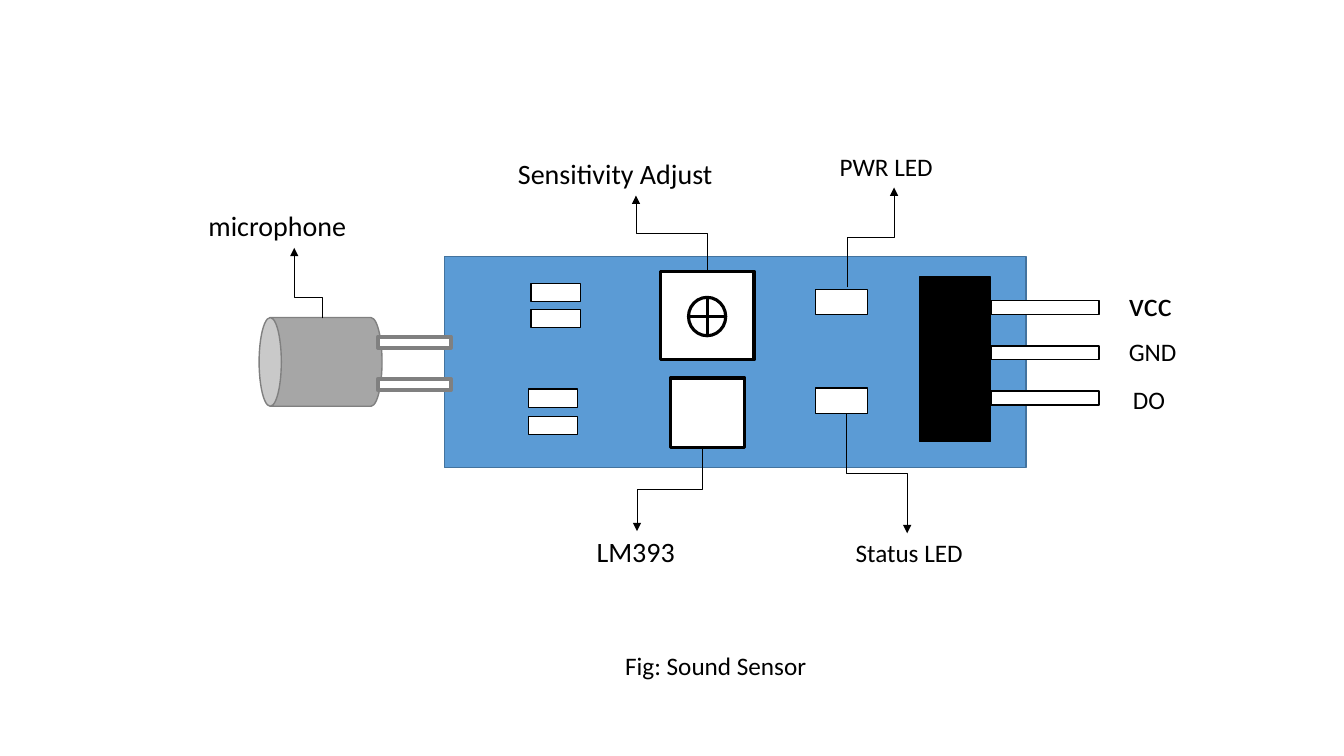
from lxml import etree
from pptx import Presentation
from pptx.dml.color import RGBColor
from pptx.enum.shapes import MSO_CONNECTOR, MSO_SHAPE
from pptx.enum.text import MSO_ANCHOR, MSO_AUTO_SIZE, PP_ALIGN
from pptx.oxml.ns import qn
from pptx.util import Pt

RECTANGLE = MSO_SHAPE.RECTANGLE
CAN = MSO_SHAPE.CAN
CROSSED_CIRCLE = MSO_SHAPE.FLOWCHART_OR
ELBOW = MSO_CONNECTOR.ELBOW
TOP = MSO_ANCHOR.TOP
MIDDLE = MSO_ANCHOR.MIDDLE
LEFT = PP_ALIGN.LEFT
CENTER = PP_ALIGN.CENTER
FIT_SHAPE = MSO_AUTO_SIZE.SHAPE_TO_FIT_TEXT
NO_FIT = MSO_AUTO_SIZE.NONE

FONT = "Calibri"
BLACK = RGBColor(0x00, 0x00, 0x00)
WHITE = RGBColor(0xFF, 0xFF, 0xFF)
BOARD_BLUE = RGBColor(0x5B, 0x9B, 0xD5)
BOARD_EDGE = RGBColor(0x43, 0x73, 0x9E)
METAL = RGBColor(0xA6, 0xA6, 0xA6)
METAL_EDGE = RGBColor(0x80, 0x80, 0x80)

LABELS = [
    ("vcc", 799.2, 198.7, 52, 36, 24),
    ("GND", 799.2, 236.9, 60, 29, 18),
    ("DO", 802.1, 270.7, 45, 29, 18),
    ("Sensitivity Adjust", 362.9, 108, 163, 32, 20),
    ("LM393", 419, 378, 82, 32, 20),
    ("PWR LED", 592.6, 104.4, 92, 29, 18),
    ("Status LED", 604.1, 380.2, 97, 29, 18),
    ("microphone", 141.8, 145.4, 120, 32, 20),
]
ARROWS = [
    (605.5, 205.2, 638.6, 133.9, 0.5),
    (604.8, 295.9, 648, 380.9, 0.5),
    (505.4, 193.7, 454.3, 139.7, 0.5),
    (501.8, 319.7, 455, 379.4, 0.5),
    (230.4, 227.5, 210.2, 177.1, 0.3),
]
RESISTORS = [(379.4, 202.3), (379.4, 221), (377.3, 278), (377.3, 297.4)]


def set_attributes(target, values):
    for name, value in values.items():
        setattr(target, name, value)


def write_text(shape, text, size, frame_format, alignment):
    frame = shape.text_frame
    set_attributes(frame, frame_format)
    paragraph = frame.paragraphs[0]
    paragraph.alignment = alignment
    run = paragraph.add_run()
    run.text = text
    set_attributes(run.font, {"name": FONT, "size": Pt(size)})
    run.font.color.rgb = BLACK


def add_part(slide, kind, left, top, width, height,
             fill=WHITE, edge=BLACK, edge_width=1, rotation=0):
    shape = slide.shapes.add_shape(
        kind, Pt(left), Pt(top), Pt(width), Pt(height))
    shape.rotation = rotation
    shape.shadow.inherit = False
    shape.fill.solid()
    shape.fill.fore_color.rgb = fill
    shape.line.color.rgb = edge
    shape.line.width = Pt(edge_width)


def add_label(slide, text, left, top, width, height, size):
    box = slide.shapes.add_textbox(Pt(left), Pt(top), Pt(width), Pt(height))
    frame_format = {"word_wrap": True, "auto_size": FIT_SHAPE,
                    "vertical_anchor": TOP}
    write_text(box, text, size, frame_format, LEFT)


def add_vertical_arrow(slide, start_x, start_y, end_x, end_y, bend):
    goes_down = end_y > start_y
    flipped = goes_down == (end_x > start_x)
    center_x, center_y = (start_x + end_x) / 2, (start_y + end_y) / 2
    half_length = abs(end_y - start_y) / 2
    half_offset = abs(end_x - start_x) / 2 * (-1 if flipped else 1)
    connector = slide.shapes.add_connector(
        ELBOW,
        Pt(center_x - half_length), Pt(center_y - half_offset),
        Pt(center_x + half_length), Pt(center_y + half_offset))
    connector.line.color.rgb = BLACK
    connector.line.width = Pt(0.5)
    properties = connector._element.spPr
    properties.find(qn("a:xfrm")).set("rot", str((90 if goes_down else 270) * 60000))
    adjustments = properties.find(qn("a:prstGeom")).get_or_add_avLst()
    etree.SubElement(adjustments, qn("a:gd"),
                     name="adj1", fmla=f"val {round(bend * 100000)}")
    etree.SubElement(properties.find(qn("a:ln")), qn("a:tailEnd"), type="triangle")
    etree.SubElement(properties, qn("a:effectLst"))


def add_caption(slide, text):
    caption = slide.shapes.title
    set_attributes(caption, {"left": Pt(355), "top": Pt(461),
                             "width": Pt(312.5), "height": Pt(29)})
    frame_format = {"word_wrap": True, "auto_size": NO_FIT,
                    "vertical_anchor": MIDDLE}
    write_text(caption, text, 18, frame_format, CENTER)


def add_board(slide):
    add_part(slide, RECTANGLE, 317.5, 183, 415.5, 151, BOARD_BLUE, BOARD_EDGE)
    add_part(slide, RECTANGLE, 656.6, 198, 51, 117.4, BLACK)
    for index in range(3):
        add_part(slide, RECTANGLE, 708, 214.6 + index * 32.4, 77, 10)
    add_part(slide, RECTANGLE, 471.6, 193.7, 67, 63.4, edge_width=2.25)
    add_part(slide, CROSSED_CIRCLE, 491.8, 212.4, 26.6, 27.4, edge_width=2.25)
    add_part(slide, RECTANGLE, 478.8, 270, 53.3, 49.7, edge_width=2.25)
    for top in (206.6, 277.2):
        add_part(slide, RECTANGLE, 582.5, top, 37.4, 18)
    for left, top in RESISTORS:
        add_part(slide, RECTANGLE, left, top, 35.3, 13)


def add_microphone(slide):
    add_part(slide, CAN, 197.3, 214.6, 63.4, 87.8, METAL, METAL_EDGE, rotation=270)
    for top in (270.7, 240.5):
        add_part(slide, RECTANGLE, 270, top, 52, 8, edge=METAL_EDGE, edge_width=3)


def main():
    presentation = Presentation()
    presentation.slide_width = Pt(960)
    presentation.slide_height = Pt(540)
    slide = presentation.slides.add_slide(presentation.slide_layouts[5])
    add_caption(slide, "Fig: Sound Sensor")
    add_board(slide)
    add_microphone(slide)
    for label in LABELS:
        add_label(slide, *label)
    for arrow in ARROWS:
        add_vertical_arrow(slide, *arrow)
    presentation.save("out.pptx")


if __name__ == "__main__":
    main()
